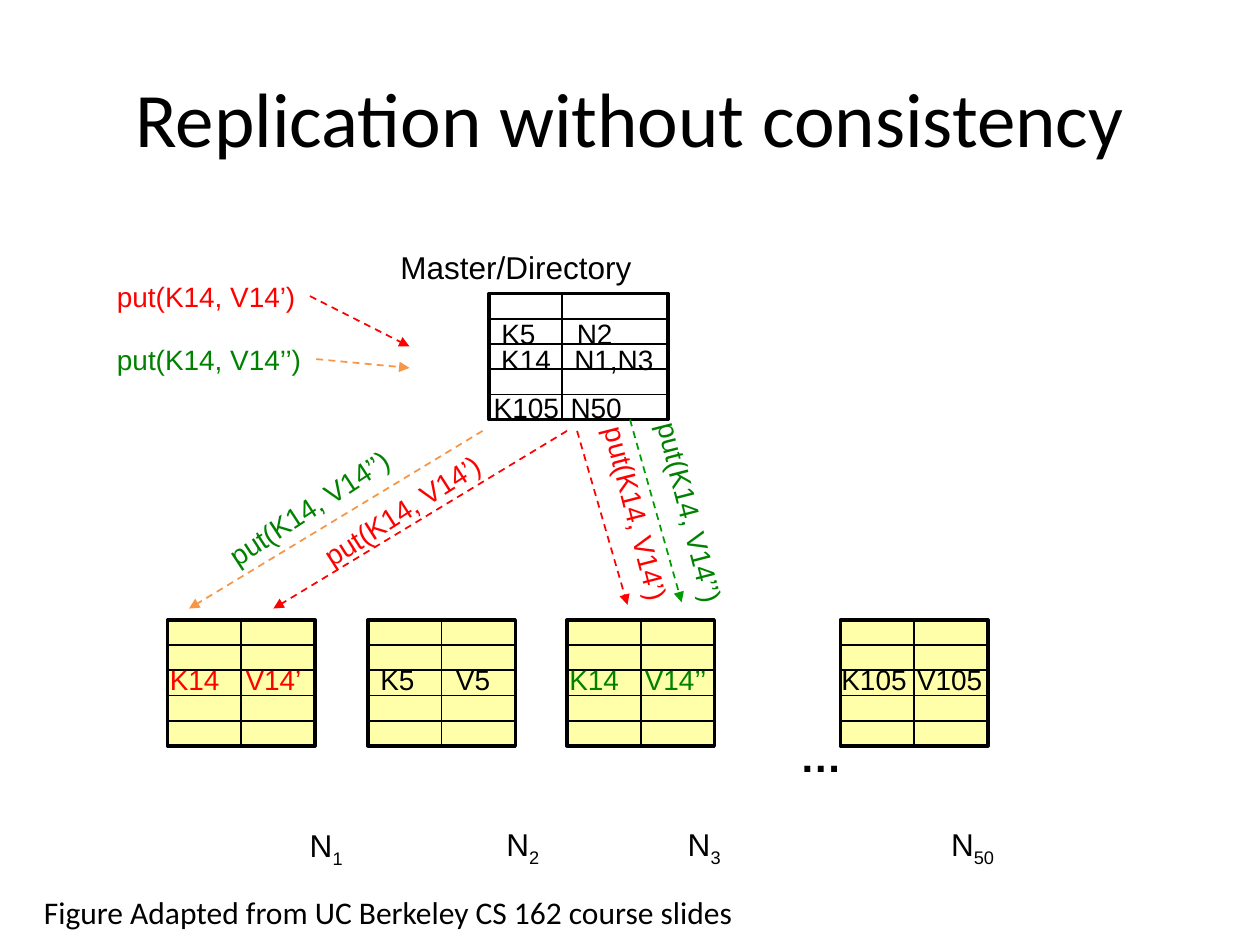
from lxml import etree
from pptx import Presentation
from pptx.dml.color import RGBColor
from pptx.enum.dml import MSO_LINE
from pptx.enum.shapes import MSO_CONNECTOR, MSO_SHAPE
from pptx.enum.text import MSO_ANCHOR, MSO_AUTO_SIZE, PP_ALIGN
from pptx.oxml.ns import qn
from pptx.util import Inches, Pt

BLACK = RGBColor(0x00, 0x00, 0x00)
WHITE = RGBColor(0xFF, 0xFF, 0xFF)
YELLOW = RGBColor(0xFF, 0xFF, 0xAA)
RED = RGBColor(0xFF, 0x00, 0x00)
ORANGE = RGBColor(0xF7, 0x96, 0x46)
GREEN = RGBColor(0x00, 0x82, 0x00)
ARROW_GREEN = RGBColor(0x00, 0x9D, 0x00)

ROW_COUNT = 5
FIRST_PUT = "put(K14, V14’)"
SECOND_PUT = "put(K14, V14’’)"


def add_label(shapes, text, box, color=BLACK, size=16, font="Arial",
              bold=False, rotation=0, subscript=""):
    """Place one line of text in a box of left, top, width, height."""
    label = shapes.add_textbox(*map(Inches, box))
    label.rotation = rotation
    frame = label.text_frame
    frame.word_wrap = False
    frame.auto_size = MSO_AUTO_SIZE.SHAPE_TO_FIT_TEXT
    paragraph = frame.paragraphs[0]
    paragraph.font.name = font
    paragraph.font.size = Pt(size)
    paragraph.font.bold = bold
    paragraph.font.color.rgb = color
    paragraph.add_run().text = text
    if subscript:
        run = paragraph.add_run()
        run.text = subscript
        run.font._element.set("baseline", "-25000")


def add_line(shapes, start, end, color=BLACK):
    """Draw a thin straight line between two points."""
    line = shapes.add_connector(MSO_CONNECTOR.STRAIGHT,
                                *map(Inches, (*start, *end)))
    line.line.color.rgb = color
    line.line.width = Pt(1)
    etree.SubElement(line._element.spPr, qn("a:effectLst"))
    return line


def add_arrow(shapes, start, end, color):
    """Draw a dashed line with an arrowhead at its end."""
    arrow = add_line(shapes, start, end, color)
    arrow.line.dash_style = MSO_LINE.DASH
    etree.SubElement(arrow.line._get_or_add_ln(), qn("a:tailEnd"), type="triangle")


def add_store(slide, box, column_width, fill):
    """Draw a two-column key/value store with five rows."""
    left, top, width, height = box
    shapes = slide.shapes.add_group_shape().shapes
    frame = shapes.add_shape(MSO_SHAPE.RECTANGLE, *map(Inches, box))
    frame.shadow.inherit = False
    frame.fill.solid()
    frame.fill.fore_color.rgb = fill
    frame.line.color.rgb = BLACK
    frame.line.width = Pt(2)

    divider_x = left + column_width
    divider = add_line(shapes, (divider_x, top), (divider_x, top + height))
    if column_width == width / 2:
        divider.begin_connect(frame, 0)
        divider.end_connect(frame, 2)
    for row in range(1, ROW_COUNT):
        y = top + row * height / ROW_COUNT
        add_line(shapes, (left, y), (left + width, y))


def add_title(slide, box):
    title = slide.shapes.title
    title.left, title.top, title.width, title.height = map(Inches, box)
    frame = title.text_frame
    frame.text = "Replication without consistency"
    frame.vertical_anchor = MSO_ANCHOR.MIDDLE
    paragraph = frame.paragraphs[0]
    paragraph.alignment = PP_ALIGN.CENTER
    paragraph.font.name = "Calibri"
    paragraph.font.size = Pt(44)
    paragraph.font.color.rgb = BLACK


def add_directory(slide, box):
    """Master directory: which nodes hold each key."""
    left, top, width, height = box
    add_store(slide, box, 0.58, WHITE)
    add_label(slide.shapes, "Master/Directory", (left - 0.8, top - 0.41, 2.05, 0.4), size=18)
    # Text, horizontal offset, vertical offset, width
    entries = [
        ("K5", 0, 0.13, 0.48), ("N2", 0.6, 0.13, 0.5),
        ("K14", 0, 0.34, 0.6), ("N1,N3", 0.58, 0.34, 0.84),
        ("K105", -0.06, 0.72, 0.73), ("N50", 0.55, 0.72, 0.61),
    ]
    for text, x, y, label_width in entries:
        add_label(slide.shapes, text, (left + x, top + y, label_width, 0.37))


def add_nodes(slide, box):
    """Row of storage nodes, each with its stored pair and its name."""
    left, top, width, height = box
    # Offset, key, key offset and width, value, value width, colour, name, name position
    nodes = [
        (0, "K14", -0.08, 0.6, "V14’", 0.65, RED, "1", (2.36, 6.51, 0.48)),
        (1.59, "K5", 0, 0.48, "V5", 0.48, BLACK, "2", (3.92, 6.5, 0.48)),
        (3.17, "K14", -0.08, 0.6, "V14’’", 0.7, GREEN, "3", (5.36, 6.5, 0.48)),
        (5.34, "K105", -0.09, 0.73, "V105", 0.73, BLACK, "50", (7.45, 6.5, 0.57)),
    ]
    node_width = 1.17
    for (offset, key, key_offset, key_width, value, value_width,
         color, number, name_position) in nodes:
        x = left + offset
        add_store(slide, (x, top, node_width, height), node_width / 2, YELLOW)
        key_x = x + key_offset
        add_label(slide.shapes, key, (key_x, top + 0.29, key_width, 0.37), color)
        add_label(slide.shapes, value, (key_x + 0.6, top + 0.29, value_width, 0.37), color)
        add_label(slide.shapes, "N", (*name_position, 0.4), size=18, subscript=number)
    add_label(slide.shapes, "…", (left + 4.92, top + 0.83, 0.54, 0.51), size=24, bold=True)


def add_put_requests(slide, box):
    """Client requests to the directory and their forwarding to the replicas."""
    left, top, width, height = box
    # Text, colour, label box, rotation, arrow start, arrow end, arrow colour
    requests = [
        (FIRST_PUT, RED, (0, 0, 1.63), 0, (1.63, 0.18), (2.42, 0.58), RED),
        (SECOND_PUT, GREEN, (0, 0.5, 1.68), 0, (1.68, 0.68), (2.42, 0.75), ORANGE),
        (FIRST_PUT, RED, (3.4, 1.74, 1.65), 75.6, (3.75, 1.25), (4.15, 2.63), RED),
        (SECOND_PUT, GREEN, (0.79, 1.67, 1.68), 326.9, (3, 1.25), (0.67, 2.66), ORANGE),
        (FIRST_PUT, RED, (1.55, 1.69, 1.64), 327.4, (3.67, 1.25), (1.34, 2.66), RED),
        (SECOND_PUT, GREEN, (3.81, 1.72, 1.68), 75.6, (4.17, 1.16), (4.58, 2.61), ARROW_GREEN),
    ]
    for text, color, (x, y, label_width), rotation, start, end, arrow_color in requests:
        shapes = slide.shapes.add_group_shape().shapes
        add_arrow(shapes, (left + start[0], top + start[1]),
                  (left + end[0], top + end[1]), arrow_color)
        add_label(shapes, text, (left + x, top + y, label_width, 0.37), color, rotation=rotation)


def add_credit(slide, box):
    add_label(slide.shapes, "Figure Adapted from UC Berkeley CS 162 course slides", box,
              size=18, font="Calibri")


def main():
    presentation = Presentation()
    presentation.slide_width = Inches(10)
    presentation.slide_height = Inches(7.5)
    slide = presentation.slides.add_slide(presentation.slide_layouts[5])

    add_title(slide, (0.5, 0.3, 9, 1.25))
    add_nodes(slide, (1.33, 4.92, 6.51, 1))
    add_directory(slide, (3.88, 2.33, 1.42, 1))
    add_put_requests(slide, (0.83, 2.17, 4.9, 2.66))
    add_credit(slide, (0.25, 7.04, 5.75, 0.4))

    presentation.save("out.pptx")


if __name__ == "__main__":
    main()
